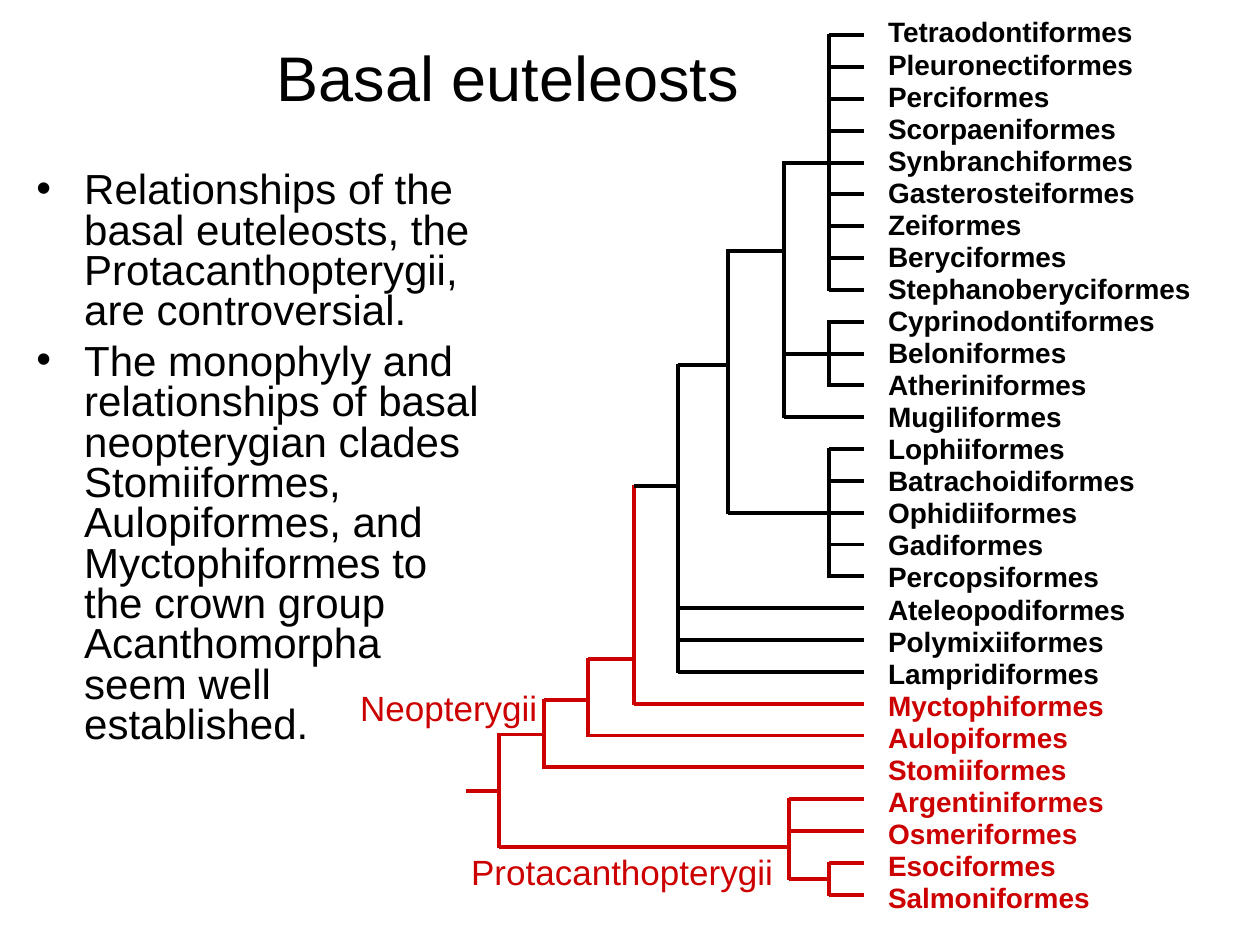
from lxml.etree import SubElement
from pptx import Presentation
from pptx.dml.color import RGBColor
from pptx.enum.shapes import MSO_CONNECTOR
from pptx.enum.text import MSO_ANCHOR, MSO_AUTO_SIZE, PP_ALIGN
from pptx.oxml.ns import qn
from pptx.util import Inches, Pt

BLACK, RED = "000000", "CC0000"
FONT = "Arial"

# Tree grid: tips sit on rows, nodes on columns (inches)
TOP, BOTTOM, LAST_ROW = 0.28, 7.1, 27
ROW_STEP = (BOTTOM - TOP) / LAST_ROW
LABEL_LEFT, LABEL_TOP, LABEL_BOTTOM = 6.95, 0.07, 6.94
LABEL_STEP = (LABEL_BOTTOM - LABEL_TOP) / LAST_ROW
LABEL_SLACK = 0.02  # keeps each name on one line
STUB, EUTELEOST, NEO, AULO, MYCTO, ACANTHO, PERCO, ATHERINO = (
    3.7, 3.96, 4.32, 4.67, 5.03, 5.38, 5.78, 6.22)
PROTO, CROWN, TIP = 6.26, 6.58, 6.86
FIRST_RED = 21

# Taxon, label width, column where its branch starts
TAXA = [
    ("Tetraodontiformes", 2.16, CROWN),
    ("Pleuronectiformes", 2.14, CROWN),
    ("Perciformes", 1.48, CROWN),
    ("Scorpaeniformes", 2.01, CROWN),
    ("Synbranchiformes", 2.14, ATHERINO),
    ("Gasterosteiformes", 2.16, CROWN),
    ("Zeiformes", 1.26, CROWN),
    ("Beryciformes", 1.61, CROWN),
    ("Stephanoberyciformes", 2.6, CROWN),
    ("Cyprinodontiformes", 2.32, CROWN),
    ("Beloniformes", 1.61, ATHERINO),
    ("Atheriniformes", 1.77, CROWN),
    ("Mugiliformes", 1.58, ATHERINO),
    ("Lophiiformes", 1.6, CROWN),
    ("Batrachoidiformes", 2.16, CROWN),
    ("Ophidiiformes", 1.7, PERCO),
    ("Gadiformes", 1.43, CROWN),
    ("Percopsiformes", 1.87, CROWN),
    ("Ateleopodiformes", 2.08, ACANTHO),
    ("Polymixiiformes", 1.91, ACANTHO),
    ("Lampridiformes", 1.87, ACANTHO),
    ("Myctophiformes", 1.91, MYCTO),
    ("Aulopiformes", 1.63, AULO),
    ("Stomiiformes", 1.61, NEO),
    ("Argentiniformes", 1.91, PROTO),
    ("Osmeriformes", 1.7, PROTO),
    ("Esociformes", 1.53, CROWN),
    ("Salmoniformes", 1.8, CROWN),
]

# Stems between nodes: from column, to column, row, colour
STEMS = [
    (PERCO, ATHERINO, 6.77, BLACK), (ACANTHO, PERCO, 10.37, BLACK),
    (MYCTO, ACANTHO, 14.17, BLACK), (AULO, MYCTO, 19.6, RED),
    (NEO, AULO, 20.9, RED), (EUTELEOST, NEO, 21.97, RED),
    (STUB, EUTELEOST, 23.75, RED), (EUTELEOST, PROTO, 25.5, RED),
    (PROTO, CROWN, 26.5, RED),
]

# Nodes: column, first row, last row, colour
NODES = [
    (CROWN, 0, 8, BLACK), (CROWN, 9, 11, BLACK), (CROWN, 13, 17, BLACK),
    (ATHERINO, 4, 12, BLACK), (PERCO, 6.77, 15, BLACK),
    (ACANTHO, 10.37, 20, BLACK), (MYCTO, 14.17, 21, RED),
    (AULO, 19.6, 22, RED), (NEO, 20.9, 23, RED),
    (EUTELEOST, 21.97, 25.5, RED), (PROTO, 24, 26.5, RED),
    (CROWN, 26, 27, RED),
]

BULLETS = [
    "Relationships of the basal euteleosts, the Protacanthopterygii, "
    "are controversial.",
    "The monophyly and relationships of basal neopterygian clades "
    "Stomiiformes, Aulopiformes, and Myctophiformes to the crown group "
    "Acanthomorpha seem well established.",
]


def rgb(color):
    return RGBColor.from_string(color)


def row_y(row):
    return TOP + row * ROW_STEP


def add_run(p, text, size, color, bold=False):
    r = p.add_run()
    r.text = text
    r.font.name, r.font.size, r.font.bold = FONT, Pt(size), bold
    r.font.color.rgb = rgb(color)


def add_line(slide, x1, y1, x2, y2, color):
    line = slide.shapes.add_connector(
        MSO_CONNECTOR.STRAIGHT, *map(Inches, (x1, y1, x2, y2)))
    line.line.color.rgb = rgb(color)
    line.line.width = Pt(2.25)
    SubElement(line._element.spPr, qn("a:effectLst"))


def add_label(slide, text, left, top, width, height, size, color, bold=False):
    sp = slide.shapes.add_textbox(
        *map(Inches, (left, top, width + LABEL_SLACK, height)))
    tf = sp.text_frame
    tf.word_wrap = False
    tf.auto_size = MSO_AUTO_SIZE.SHAPE_TO_FIT_TEXT
    add_run(tf.paragraphs[0], text, size, color, bold)


def add_title(slide, text):
    sp = slide.shapes.title
    sp.left, sp.top, sp.width, sp.height = map(Inches, (0.25, 0.19, 7.56, 0.83))
    tf = sp.text_frame
    tf.auto_size = MSO_AUTO_SIZE.NONE
    tf.vertical_anchor = MSO_ANCHOR.MIDDLE
    p = tf.paragraphs[0]
    p.alignment = PP_ALIGN.CENTER
    add_run(p, text, 36, BLACK)


def add_bullets(slide, texts):
    sp = slide.shapes.add_textbox(*map(Inches, (0.19, 1.32, 3.78, 5.4)))
    tf = sp.text_frame
    tf.word_wrap = True
    for i, text in enumerate(texts):
        p = tf.add_paragraph() if i else tf.paragraphs[0]
        pPr = p._p.get_or_add_pPr()
        pPr.set("marL", str(Inches(0.38)))
        pPr.set("indent", str(-Inches(0.38)))
        SubElement(pPr, qn("a:buFont"), typeface=FONT)
        SubElement(pPr, qn("a:buChar"), char="•")
        p.line_spacing = 0.8
        p.space_before = Pt(6 if i else 0)
        add_run(p, text, 24, BLACK)


def add_tree(slide):
    # Tip branches and taxon names
    for row, (taxon, width, start) in enumerate(TAXA):
        color = RED if row >= FIRST_RED else BLACK
        add_line(slide, start, row_y(row), TIP, row_y(row), color)
        add_label(slide, taxon, LABEL_LEFT, LABEL_TOP + row * LABEL_STEP,
                  width, 0.37, 16, color, bold=True)
    # Vertical bars, a little longer so that the corners close
    for x, first, last, color in NODES:
        add_line(slide, x, row_y(first) - 0.01, x, row_y(last) + 0.01, color)
    for x1, x2, row, color in STEMS:
        add_line(slide, x1, row_y(row), x2, row_y(row), color)


def main():
    prs = Presentation()
    prs.slide_width, prs.slide_height = Inches(10), Inches(7.5)
    slide = prs.slides.add_slide(prs.slide_layouts[5])
    add_tree(slide)
    add_title(slide, "Basal euteleosts")
    add_bullets(slide, BULLETS)
    # Clade names
    add_label(slide, "Protacanthopterygii", 3.64, 6.7, 2.6, 0.44, 20, RED)
    add_label(slide, "Neopterygii", 2.76, 5.4, 1.61, 0.44, 20, RED)
    prs.save("out.pptx")


if __name__ == "__main__":
    main()
